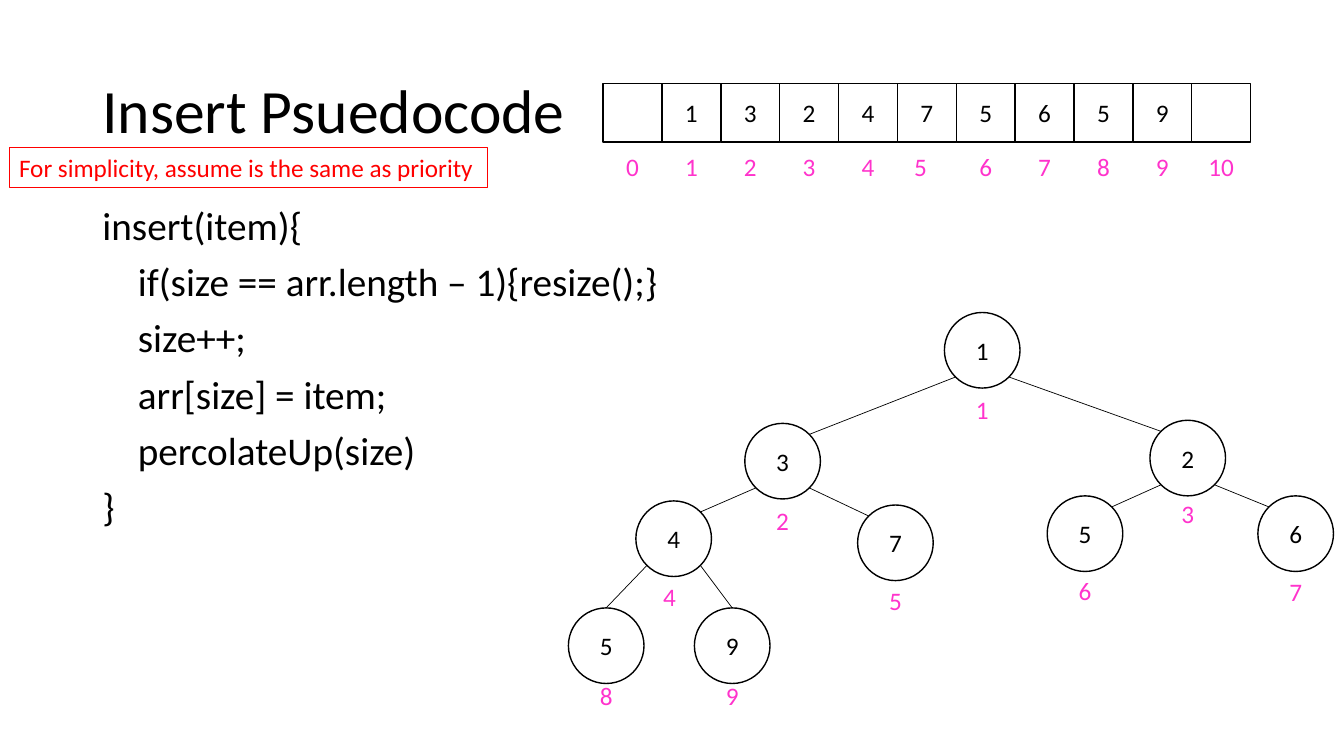
from math import sqrt

from lxml.etree import SubElement
from pptx import Presentation
from pptx.dml.color import RGBColor
from pptx.enum.shapes import MSO_CONNECTOR, MSO_SHAPE
from pptx.enum.text import MSO_ANCHOR, MSO_AUTO_SIZE, PP_ALIGN
from pptx.oxml.ns import qn
from pptx.util import Pt

COLORS = {"ink": "000000", "paper": "FFFFFF", "index": "FF33CC", "note": "FF0000"}
FONT = "Calibri"

CELL_SIZE = 42
CELL_PITCH = 42.05
CELL_VALUES = ["", "1", "3", "2", "4", "7", "5", "6", "5", "9", ""]
INDEX_SHIFTS = {5: -4.5}

NODE_SIZE = 54
# Heap index: left, top, index label shift across and down
NODES = {
    1: (268.6, 0, 0, 0.7),
    2: (126, 79.2, 0, 0.7),
    3: (415.4, 77, 0, -2),
    4: (48.2, 134.6, -3, 0),
    5: (206.6, 137.5, 0, 0),
    6: (342, 131, 0, -0.7),
    7: (492.5, 131, 0, 0),
    8: (0, 211, 0, -5.8),
    9: (90, 211, 0, -5.8),
}

CODE_LINES = [
    "insert(item){",
    "    if(size == arr.length – 1){resize();}",
    "    size++;",
    "    arr[size] = item;",
    "    percolateUp(size)",
    "}",
]


def color(name):
    return RGBColor.from_string(COLORS[name])


def write_text(paragraph, text, size=18, ink="ink", align=PP_ALIGN.CENTER,
               line_spacing=None, space_before=0):
    paragraph.text = text
    paragraph.alignment = align
    paragraph.line_spacing = line_spacing
    paragraph.space_before = Pt(space_before)
    font = paragraph.font
    font.name, font.size, font.bold = FONT, Pt(size), False
    font.color.rgb = color(ink)


def place(shape, left, top, width, height):
    shape.left, shape.top = Pt(left), Pt(top)
    shape.width, shape.height = Pt(width), Pt(height)


def add_box(slide, kind, left, top, size, text):
    shape = slide.shapes.add_shape(kind, Pt(left), Pt(top), Pt(size), Pt(size))
    shape.shadow.inherit = False
    shape.fill.solid()
    shape.fill.fore_color.rgb = color("paper")
    shape.line.color.rgb = color("ink")
    shape.line.width = Pt(1)
    if text:
        shape.text_frame.vertical_anchor = MSO_ANCHOR.MIDDLE
        write_text(shape.text_frame.paragraphs[0], text)


def add_label(slide, left, top, width, text, ink="index", align=PP_ALIGN.CENTER):
    label = slide.shapes.add_textbox(Pt(left), Pt(top), Pt(width), Pt(29))
    label.text_frame.word_wrap = False
    label.text_frame.auto_size = MSO_AUTO_SIZE.SHAPE_TO_FIT_TEXT
    write_text(label.text_frame.paragraphs[0], text, ink=ink, align=align)
    return label


def add_index(slide, center, top, index):
    width = 24 if index < 10 else 33
    add_label(slide, center - width / 2, top, width, str(index))


def add_edge(slide, start, end):
    line = slide.shapes.add_connector(
        MSO_CONNECTOR.STRAIGHT, *(Pt(value) for value in (*start, *end)))
    line.line.color.rgb = color("ink")
    line.line.width = Pt(0.5)
    SubElement(line._element.spPr, qn("a:effectLst"))


def fill_title(slide, left, top, width, height):
    title = slide.shapes.title
    place(title, left, top, width, height)
    frame = title.text_frame
    frame.auto_size = MSO_AUTO_SIZE.NONE
    frame.vertical_anchor = MSO_ANCHOR.MIDDLE
    write_text(frame.paragraphs[0], "Insert Psuedocode", size=44,
               align=PP_ALIGN.LEFT, line_spacing=0.9)


def fill_code(slide, left, top, width, height):
    body = slide.placeholders[1]
    place(body, left, top, width, height)
    frame = body.text_frame
    frame.auto_size = MSO_AUTO_SIZE.NONE
    frame.vertical_anchor = MSO_ANCHOR.TOP
    for number, code in enumerate(CODE_LINES):
        paragraph = frame.add_paragraph() if number else frame.paragraphs[0]
        properties = paragraph._p.get_or_add_pPr()
        properties.set("marL", "0")
        properties.set("indent", "0")
        SubElement(properties, qn("a:buNone"))
        write_text(paragraph, code, size=28, align=PP_ALIGN.LEFT,
                   line_spacing=0.9, space_before=10 if number else 0)


def draw_tree(slide, left, top):
    radius = NODE_SIZE / 2
    reach = radius / sqrt(2)
    centers = {index: (left + x + radius, top + y + radius)
               for index, (x, y, _, _) in NODES.items()}

    # Circles and their array indexes
    for index, (x, y, shift_x, shift_y) in NODES.items():
        add_box(slide, MSO_SHAPE.OVAL, left + x, top + y, NODE_SIZE, CELL_VALUES[index])
        add_index(slide, centers[index][0] + shift_x,
                  top + y + NODE_SIZE + shift_y, index)

    # Edges leave each parent diagonally; the lowest level is met at its top
    for index in list(NODES)[1:]:
        side = -1 if index % 2 == 0 else 1
        parent_x, parent_y = centers[index // 2]
        child_x, child_y = centers[index]
        if index >= 8:
            end = (child_x, child_y - radius)
        else:
            end = (child_x - side * reach, child_y - reach)
        add_edge(slide, (parent_x + side * reach, parent_y + reach), end)


def draw_array(slide, left, top):
    for index, value in enumerate(CELL_VALUES):
        cell_left = left + index * CELL_PITCH
        add_box(slide, MSO_SHAPE.RECTANGLE, cell_left, top, CELL_SIZE, value)
        center = cell_left + CELL_SIZE / 2 + INDEX_SHIFTS.get(index, 0)
        add_index(slide, center, top + 45, index)


def draw_note(slide, left, top, width):
    note = add_label(slide, left, top, width,
                     "For simplicity, assume is the same as priority",
                     ink="note", align=PP_ALIGN.LEFT)
    note.line.color.rgb = color("note")
    note.line.width = Pt(0.75)


def main():
    presentation = Presentation()
    presentation.slide_width, presentation.slide_height = Pt(960), Pt(540)
    slide = presentation.slides.add_slide(presentation.slide_layouts[1])
    fill_title(slide, 66, 28.75, 828, 104.4)
    fill_code(slide, 66, 143.75, 828, 342.6)
    draw_tree(slide, 406, 223.2)
    draw_array(slide, 430.8, 59.6)
    draw_note(slide, 6.5, 105.1, 342)
    presentation.save("out.pptx")


if __name__ == "__main__":
    main()
